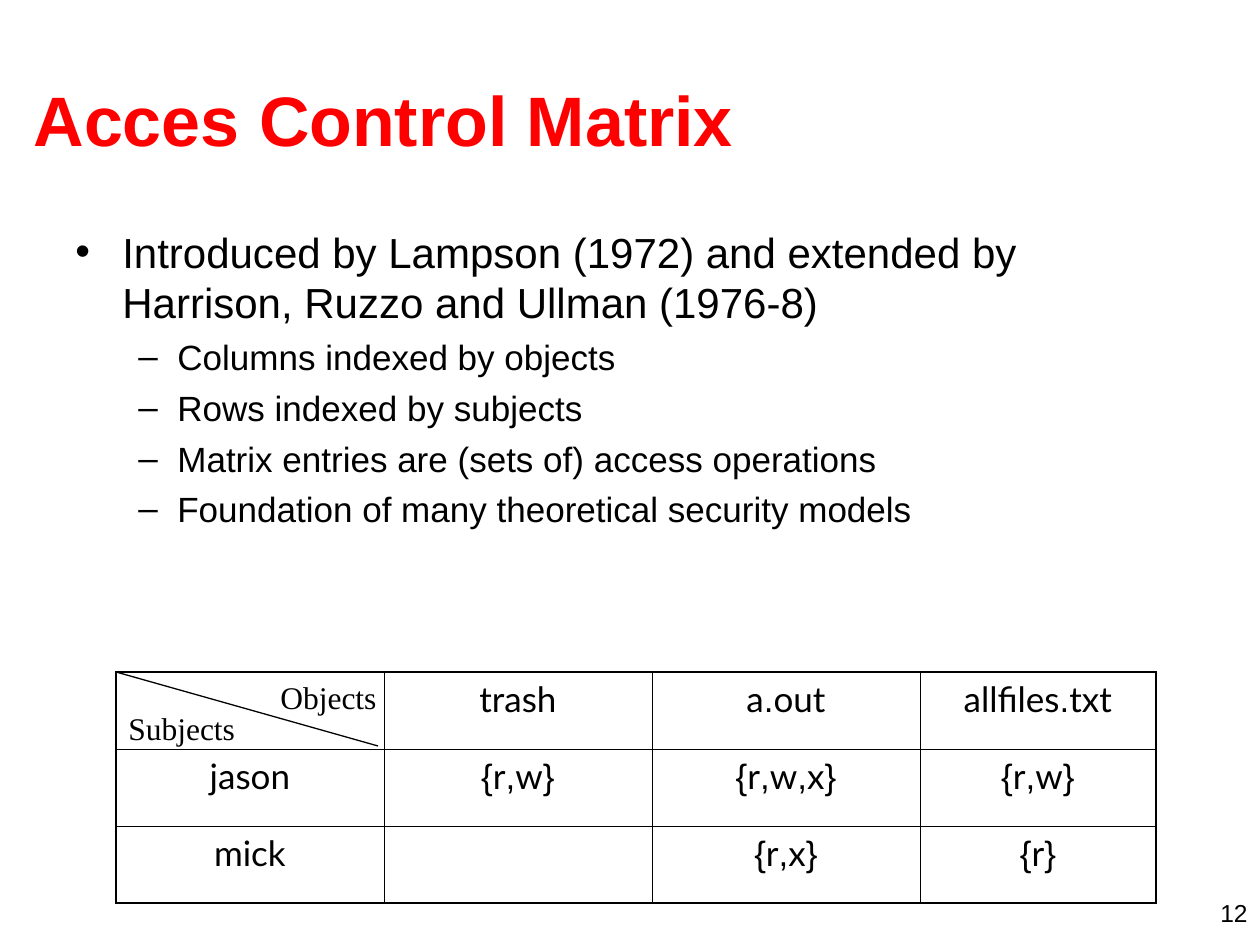
import itertools

import lxml.etree
import pptx
import pptx.dml.color
import pptx.enum.shapes
import pptx.enum.text
import pptx.oxml.ns
import pptx.util

TITLE = "Acces Control Matrix"
BULLETS = [
    (0, "Introduced by Lampson (1972) and extended by Harrison, Ruzzo and Ullman (1976-8)"),
    (1, "Columns indexed by objects"),
    (1, "Rows indexed by subjects"),
    (1, "Matrix entries are (sets of) access operations"),
    (1, "Foundation of many theoretical security models"),
]
MATRIX = [
    ["", "trash", "a.out", "allfiles.txt"],
    ["jason", "{r,w}", "{r,w,x}", "{r,w}"],
    ["mick", "", "{r,x}", "{r}"],
]
COLUMN_WIDTHS = [268, 268, 268, 236]
ROW_HEIGHT = 77
MATRIX_LEFT, MATRIX_TOP = 116, 672
SLIDE_NUMBER = "12"

RED = pptx.dml.color.RGBColor(0xFF, 0x00, 0x00)
BLACK = pptx.dml.color.RGBColor(0x00, 0x00, 0x00)
ALIGN = pptx.enum.text.PP_ALIGN
ANCHOR = pptx.enum.text.MSO_ANCHOR
EMU_PER_PX = 914400 / 126

TITLE_FONT = {"name": "Arial", "size": pptx.util.Pt(40), "bold": True}
LABEL_FONT = {"name": "Times New Roman", "size": pptx.util.Pt(18)}
NUMBER_FONT = {"name": "Arial", "size": pptx.util.Pt(14)}
LEVELS = [
    {"size": 24, "margin": 47, "indent": -47, "before": 6, "bullet": "•"},
    {"size": 20, "margin": 102, "indent": -39, "before": 5, "bullet": "–"},
]
OUTER_BORDER, INNER_BORDER = 1.08, 0.45


def px(length):
    return round(length * EMU_PER_PX)


def add_element(parent, tag, **attributes):
    return lxml.etree.SubElement(parent, pptx.oxml.ns.qn(tag), attributes)


def set_attributes(target, values):
    for name, value in values.items():
        setattr(target, name, value)


def add_run(paragraph, text, font_values, color=BLACK):
    run = paragraph.add_run()
    run.text = text
    set_attributes(run.font, font_values)
    run.font.color.rgb = color


def add_text_box(slide, left, top, width, height):
    box = slide.shapes.add_textbox(px(left), px(top), px(width), px(height))
    box.text_frame.word_wrap = True
    return box.text_frame


def add_label(slide, text, place, alignment, font_values):
    paragraph = add_text_box(slide, *place).paragraphs[0]
    paragraph.alignment = alignment
    add_run(paragraph, text, font_values)


def add_title(slide):
    title = slide.shapes.title
    set_attributes(title, {"left": px(21), "top": px(40), "width": px(1207), "height": px(158)})
    set_attributes(title.text_frame, {
        "word_wrap": True,
        "auto_size": pptx.enum.text.MSO_AUTO_SIZE.NONE,
        "vertical_anchor": ANCHOR.MIDDLE,
    })
    paragraph = title.text_frame.paragraphs[0]
    paragraph.alignment = ALIGN.LEFT
    add_run(paragraph, TITLE, TITLE_FONT, RED)


def add_bullets(slide):
    frame = add_text_box(slide, 63, 220, 1134, 416)
    for index, (level, text) in enumerate(BULLETS):
        style = LEVELS[level]
        paragraph = frame.add_paragraph() if index else frame.paragraphs[0]
        paragraph.level = level
        if index:
            paragraph.space_before = pptx.util.Pt(style["before"])
        properties = paragraph._p.get_or_add_pPr()
        properties.set("marL", str(px(style["margin"])))
        properties.set("indent", str(px(style["indent"])))
        add_element(properties, "a:buFont", typeface="Arial")
        add_element(properties, "a:buChar", char=style["bullet"])
        add_run(paragraph, text, {"name": "Arial", "size": pptx.util.Pt(style["size"])})


def add_borders(cell, outer_sides):
    properties = cell._tc.get_or_add_tcPr()
    for side in "LRTB":
        width = OUTER_BORDER if side in outer_sides else INNER_BORDER
        line = add_element(properties, f"a:ln{side}", w=str(pptx.util.Pt(width)))
        fill = add_element(line, "a:solidFill")
        add_element(fill, "a:srgbClr", val=str(BLACK))


def add_matrix(slide):
    row_count, column_count = len(MATRIX), len(COLUMN_WIDTHS)
    frame = slide.shapes.add_table(
        row_count, column_count, px(MATRIX_LEFT), px(MATRIX_TOP),
        px(sum(COLUMN_WIDTHS)), px(ROW_HEIGHT * row_count))
    table = frame.table
    set_attributes(table, {"first_row": False, "horz_banding": False})
    for column, width in zip(table.columns, COLUMN_WIDTHS):
        column.width = px(width)
    for row_index, texts in enumerate(MATRIX):
        table.rows[row_index].height = px(ROW_HEIGHT)
        for column_index, text in enumerate(texts):
            cell = table.cell(row_index, column_index)
            edges = {"L": column_index == 0, "R": column_index == column_count - 1,
                     "T": row_index == 0, "B": row_index == row_count - 1}
            add_borders(cell, [side for side, is_outer in edges.items() if is_outer])
            cell.fill.background()
            paragraph = cell.text_frame.paragraphs[0]
            paragraph.alignment = ALIGN.CENTER
            for is_word, letters in itertools.groupby(text, str.isalpha):
                font_name = "Lato" if is_word else "Arial"
                add_run(paragraph, "".join(letters),
                        {"name": font_name, "size": pptx.util.Pt(20)})


def add_corner_line(slide):
    connector = slide.shapes.add_connector(
        pptx.enum.shapes.MSO_CONNECTOR.STRAIGHT,
        px(MATRIX_LEFT), px(MATRIX_TOP), px(378), px(746))
    connector.line.color.rgb = BLACK
    connector.line.width = pptx.util.Pt(0.75)
    add_element(connector._element.spPr, "a:effectLst")


def main():
    presentation = pptx.Presentation()
    presentation.slide_width, presentation.slide_height = px(1260), px(945)
    slide = presentation.slides.add_slide(presentation.slide_layouts[5])
    add_title(slide)
    add_bullets(slide)
    add_matrix(slide)
    add_corner_line(slide)
    add_label(slide, "Objects", (242, 672, 147, 50), ALIGN.RIGHT, LABEL_FONT)
    add_label(slide, "Subjects", (116, 703, 168, 50), ALIGN.LEFT, LABEL_FONT)
    add_label(slide, SLIDE_NUMBER, (966, 892, 294, 32), ALIGN.RIGHT, NUMBER_FONT)
    presentation.save("out.pptx")


if __name__ == "__main__":
    main()
